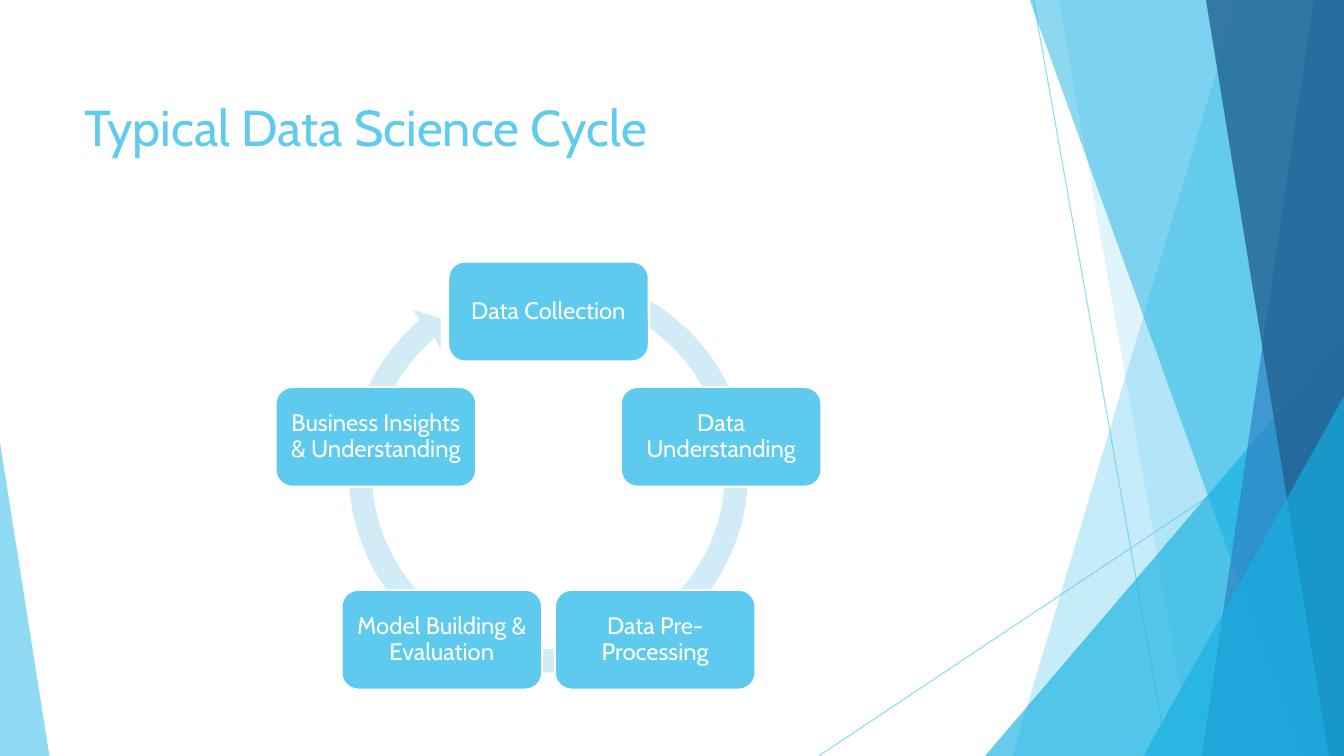
from math import cos, radians, sin, tan
from lxml.etree import SubElement
from pptx import Presentation
from pptx.dml.color import RGBColor
from pptx.enum.shapes import MSO_CONNECTOR, MSO_SHAPE
from pptx.enum.text import MSO_ANCHOR, PP_ALIGN
from pptx.oxml.ns import qn
from pptx.util import Inches, Pt

SKY = RGBColor(0x5F, 0xCB, 0xEF)
CYAN = RGBColor(0x16, 0xB0, 0xE3)
BLUE = RGBColor(0x2E, 0x83, 0xC3)
NAVY = RGBColor(0x22, 0x62, 0x92)
PALE = RGBColor(0xD1, 0xEC, 0xF7)
BOX = RGBColor(0x5E, 0xCB, 0xEE)
WHITE = RGBColor(0xFF, 0xFF, 0xFF)
FONT = "Cabin"
WIDE, HIGH, TOP = 13.33, 7.5, -0.01

deck = Presentation()
deck.slide_width, deck.slide_height = Inches(WIDE), Inches(HIGH)
slide = deck.slides.add_slide(deck.slide_layouts[5])
shapes = slide.shapes


def paint(shape, color, alpha=100):
    shape.shadow.inherit = False
    shape.fill.solid()
    shape.fill.fore_color.rgb = color
    shape.line.fill.background()
    if alpha < 100:
        tint = shape.fill._xPr.find(".//" + qn("a:srgbClr"))
        SubElement(tint, qn("a:alpha"), val=str(alpha * 1000))


def outline(points):
    spots = [(Inches(x), Inches(y)) for x, y in points]
    pen = shapes.build_freeform(*spots[0])
    pen.add_line_segments(spots[1:], close=True)
    return pen.convert_to_shape()


for x1, y1, x2, y2 in [(10.25, 0, 11.58, HIGH), (WIDE, 4.03, 8.12, HIGH)]:
    line = shapes.add_connector(
        MSO_CONNECTOR.STRAIGHT, Inches(x1), Inches(y1), Inches(x2), Inches(y2))
    line.line.color.rgb = SKY
    line.line.width = Pt(0.75)
    tint = line.line.fill._xPr.find(".//" + qn("a:srgbClr"))
    SubElement(tint, qn("a:alpha"), val="69000")
    SubElement(line._element.spPr, qn("a:effectLst"))

panels = [
    ("band", 12.28, 10.04, SKY, 35),
    ("band", 10.5, 11.83, SKY, 20),
    ("wedge", 9.77, 3.33, CYAN, 65),
    ("band", 10.21, 12.91, CYAN, 49),
    ("band", 13.03, 11.92, BLUE, 69),
    ("band", 11.96, 13.18, NAVY, 80),
    ("wedge", 11.34, 3.93, CYAN, 65),
]
for kind, a, b, color, alpha in panels:
    if kind == "band":
        panel = outline([(a, TOP), (WIDE, TOP), (WIDE, HIGH), (b, HIGH)])
    else:
        panel = shapes.add_shape(
            MSO_SHAPE.ISOSCELES_TRIANGLE, Inches(a), Inches(b),
            Inches(WIDE - a), Inches(HIGH - b))
        panel.adjustments[0] = 1
    paint(panel, color, alpha)

corner = shapes.add_shape(
    MSO_SHAPE.ISOSCELES_TRIANGLE, 0, Inches(4.39), Inches(0.49), Inches(3.11))
corner.adjustments[0] = 0
paint(corner, SKY, 69)

title = shapes.title
title.left, title.top = Inches(0.74), Inches(0.9)
title.width, title.height = Inches(9.4), Inches(1.44)
title.text_frame.text = "Typical Data Science Cycle"
title.text_frame.vertical_anchor = MSO_ANCHOR.TOP
head = title.text_frame.paragraphs[0]
head.alignment = PP_ALIGN.LEFT
head.font.name, head.font.size = FONT, Pt(36)
head.font.color.rgb = SKY

mid = 5.44
sweep = 75
pull = 4 / 3 * tan(radians(sweep / 4))
arcs = []
for size in (1.98, 1.75):
    arc = []
    for turn in range(20, 321, sweep):
        s, c = size * sin(radians(turn)), size * cos(radians(turn))
        arc += [(mid + s + k * c, 4.69 - c + k * s) for k in (-pull, 0, pull)]
    arcs.append(arc[1:-1])
outer, inner = arcs
tip = [(4.09, 3.07), (4.37, 3.16), (4.37, 3.47)]
ring = outline(outer + tip + inner[::-1])
paint(ring, PALE)
legs = ring._element.findall(".//" + qn("a:lnTo"))
bend = len(outer) - 1
for start in (0, bend + len(tip) + 1):
    for i in range(start, start + bend, 3):
        curve = legs[i]
        curve.tag = qn("a:cubicBezTo")
        for leg in legs[i + 1:i + 3]:
            curve.append(leg[0])
            leg.getparent().remove(leg)

steps = [
    "Data Collection",
    "Data Understanding",
    "Data Pre-Processing",
    "Model Building & Evaluation",
    "Business Insights & Understanding",
]
wide, high = 1.99, 0.99
for i, step in enumerate(steps):
    turn = radians(i * 360 / len(steps))
    x = mid + 1.8 * sin(turn)
    y = 4.89 - 1.8 * cos(turn)
    box = shapes.add_shape(
        MSO_SHAPE.ROUNDED_RECTANGLE, Inches(x - wide / 2), Inches(y - high / 2),
        Inches(wide), Inches(high))
    paint(box, BOX)
    box.line.color.rgb = WHITE
    box.line.width = Pt(1.5)
    frame = box.text_frame
    frame.word_wrap = True
    frame.vertical_anchor = MSO_ANCHOR.MIDDLE
    frame.margin_left = frame.margin_right = Inches(0.07)
    frame.margin_top = frame.margin_bottom = Inches(0.07)
    frame.text = step
    label = frame.paragraphs[0]
    label.alignment = PP_ALIGN.CENTER
    label.line_spacing = 0.9
    label.font.name, label.font.size = FONT, Pt(17)
    label.font.color.rgb = WHITE

deck.save("out.pptx")
